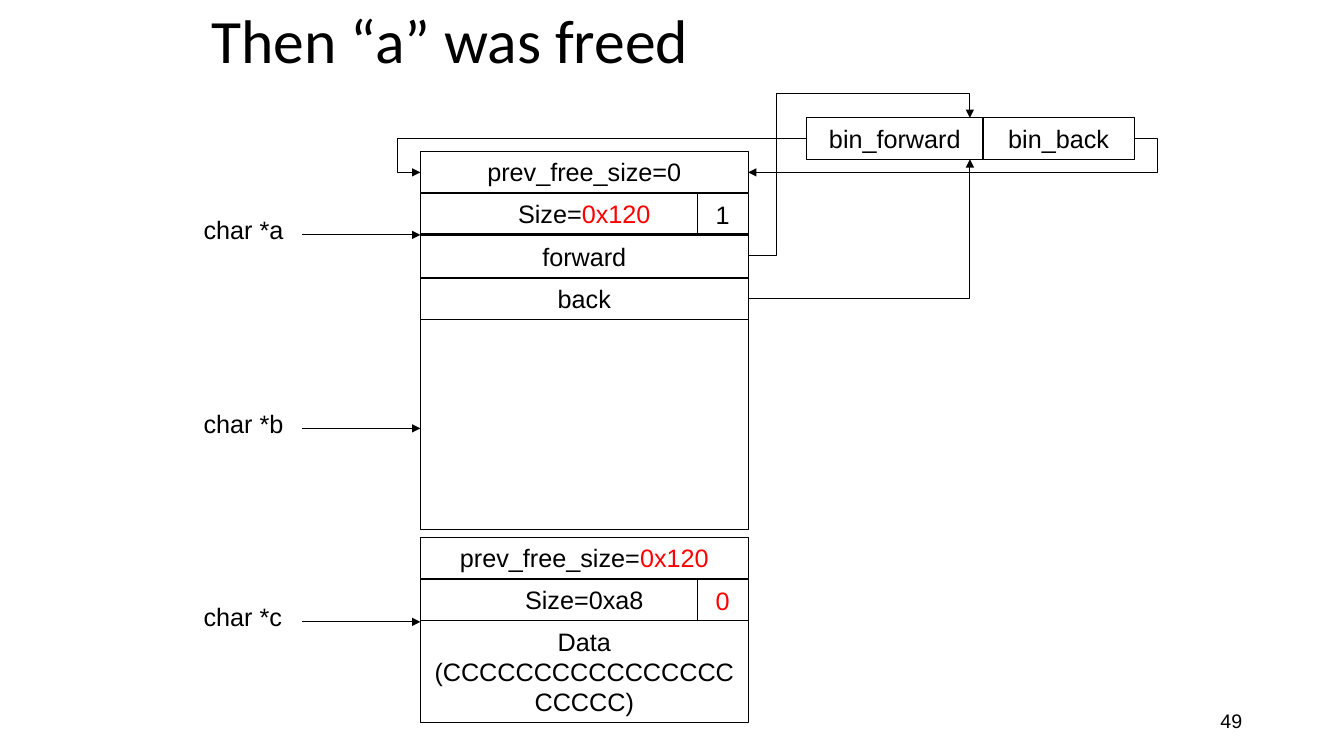
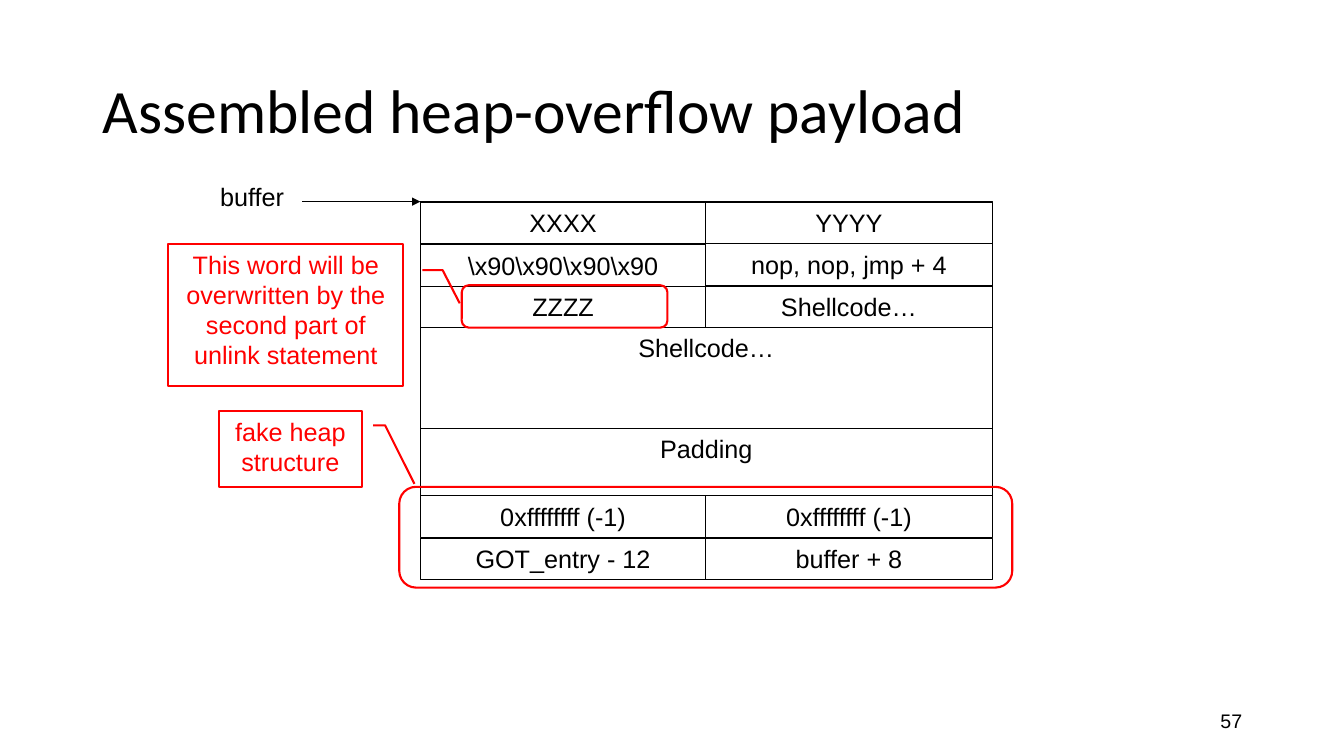
from dataclasses import dataclass

from lxml import etree
from pptx import Presentation
from pptx.dml.color import RGBColor
from pptx.enum.shapes import MSO_CONNECTOR, MSO_SHAPE
from pptx.enum.text import MSO_ANCHOR, PP_ALIGN
from pptx.oxml.ns import qn
from pptx.util import Emu, Pt

RECT, ROUND = MSO_SHAPE.RECTANGLE, MSO_SHAPE.ROUNDED_RECTANGLE
STRAIGHT, ELBOW = MSO_CONNECTOR.STRAIGHT, MSO_CONNECTOR.ELBOW
TOP, MIDDLE = MSO_ANCHOR.TOP, MSO_ANCHOR.MIDDLE
LEFT, CENTER, RIGHT = PP_ALIGN.LEFT, PP_ALIGN.CENTER, PP_ALIGN.RIGHT

EMU_PER_PX = 9144
ROW = 41


@dataclass(frozen=True)
class Theme:
    ink: RGBColor = RGBColor(0, 0, 0)
    alert: RGBColor = RGBColor(255, 0, 0)
    title_font: str = "Calibri"
    body_font: str = "Arial"
    title_size: int = 44
    body_size: int = 18
    number_size: int = 14
    thin: float = 0.75
    thick: float = 1.5


THEME = Theme()


def px(n):
    return Emu(n * EMU_PER_PX)


class Deck:
    def __init__(self, theme):
        self.theme = theme
        self.prs = Presentation()
        self.prs.slide_width, self.prs.slide_height = px(1333), px(750)
        self.s = None

    def slide(self, title, title_box, number):
        self.s = self.prs.slides.add_slide(self.prs.slide_layouts[6])
        t = self.theme
        p = self.text(title_box, [(title, t.ink)], LEFT, MIDDLE, t.title_size, t.title_font)
        p.line_spacing = 0.9
        self.text((942, 695, 300, 40), [(number, t.ink)], RIGHT, MIDDLE, t.number_size)

    def add_runs(self, sp, runs, align, anchor=TOP, size=None, font=None):
        tf = sp.text_frame
        tf.word_wrap = True
        tf.vertical_anchor = anchor
        p = tf.paragraphs[0]
        p.alignment = align
        for text, color in runs:
            r = p.add_run()
            r.text = text
            r.font.size = Pt(size or self.theme.body_size)
            r.font.name = font or self.theme.body_font
            r.font.color.rgb = color
        return p

    def text(self, box, runs, align=LEFT, anchor=TOP, size=None, font=None):
        sp = self.s.shapes.add_textbox(*map(px, box))
        return self.add_runs(sp, runs, align, anchor, size, font)

    def outline(self, sp, color, width):
        sp.shadow.inherit = False
        sp.fill.background()
        sp.line.color.rgb = color
        sp.line.width = Pt(width)

    def box(self, box, *runs):
        sp = self.s.shapes.add_shape(RECT, *map(px, box))
        self.outline(sp, self.theme.ink, self.theme.thin)
        if runs:
            self.add_runs(sp, runs, CENTER)

    def cell(self, box, text):
        self.box(box, (text, self.theme.ink))

    def highlight(self, box, shape=ROUND):
        sp = self.s.shapes.add_shape(shape, *map(px, box))
        self.outline(sp, self.theme.alert, self.theme.thick)
        return sp

    def callout(self, box, text, leader):
        self.add_runs(self.highlight(box, RECT), [(text, self.theme.alert)], CENTER)
        fb = self.s.shapes.build_freeform(*leader[0], scale=EMU_PER_PX)
        fb.add_line_segments(leader[1:], close=False)
        self.outline(fb.convert_to_shape(), self.theme.alert, self.theme.thick)

    def line(self, start, end, arrow=False, kind=STRAIGHT):
        c = self.s.shapes.add_connector(kind, *map(px, start + end))
        c.line.color.rgb = self.theme.ink
        c.line.width = Pt(self.theme.thin)
        sp_pr = c._element.spPr
        if arrow:
            etree.SubElement(sp_pr.find(qn("a:ln")), qn("a:tailEnd"), type="triangle")
        etree.SubElement(sp_pr, qn("a:effectLst"))
        return c

    def elbow(self, start, end, preset, *adjusts):
        c = self.line(start, end, True, ELBOW)
        geom = c._element.spPr.find(qn("a:prstGeom"))
        geom.set("prst", preset)
        guides = geom.find(qn("a:avLst"))
        if guides is None:
            guides = etree.SubElement(geom, qn("a:avLst"))
        for i, value in enumerate(adjusts, 1):
            etree.SubElement(guides, qn("a:gd"), name=f"adj{i}", fmla=f"val {value * 1000}")

    def pointer(self, label, y, x=192, align=LEFT):
        self.text((x, y - 25, 300 - x, 40), [(label, self.theme.ink)], align)
        self.line((300, y), (417, y), True)

    def chunk_header(self, y, prev_runs, size_runs, flag):
        self.box((417, y, 325, ROW), *prev_runs)
        self.box((417, y + 42, 325, ROW), *size_runs)
        self.line((692, y + 42), (692, y + 83))
        self.text((700, y + 43, 50, 40), [flag])


def freed_slide(deck):
    ink, alert = deck.theme.ink, deck.theme.alert
    deck.slide("Then “a” was freed", (200, 0, 900, 87), "49")
    deck.chunk_header(150, [("prev_free_size=0", ink)],
                      [("Size=", ink), ("0x120", alert)], ("1", ink))
    deck.box((417, 232, 325, 293))
    deck.chunk_header(533, [("prev_free_size=", ink), ("0x120", alert)],
                      [("Size=0xa8", ink)], ("0", alert))
    deck.cell((417, 616, 325, 101), "Data (CCCCCCCCCCCCCCCCCCCCC)")
    for label, y in (("char *a", 233), ("char *b", 425), ("char *c", 617)):
        deck.pointer(label, y)
    for label, y in (("forward", 234), ("back", 276)):
        deck.cell((417, y, 325, ROW), label)
    for label, x, w in (("bin_forward", 800, 175), ("bin_back", 975, 150)):
        deck.cell((x, 117, w, ROW), label)
    deck.elbow((800, 137), (417, 171), "bentConnector3", 106)
    deck.elbow((1125, 137), (742, 171), "bentConnector3", -6)
    deck.elbow((742, 254), (962, 117), "bentConnector4", 13, 118)
    deck.elbow((742, 296), (962, 158), "bentConnector2")


def payload_slide(deck):
    deck.slide("Assembled heap-overflow payload", (92, 40, 1150, 145), "57")
    deck.box((417, 200, 567, 292))
    rows = (
        (201, 201, "XXXX", "YYYY"),
        (243, 242, r"\x90\x90\x90\x90", "nop, nop, jmp + 4"),
        (284, 284, "ZZZZ", "Shellcode…"),
        (492, 492, "0xffffffff (-1)", "0xffffffff (-1)"),
        (534, 534, "GOT_entry - 12", "buffer + 8"),
    )
    for left_y, right_y, left, right in rows:
        deck.cell((417, left_y, 283, ROW), left)
        deck.cell((700, right_y, 284, ROW), right)
    deck.cell((417, 325, 567, 100), "Shellcode…")
    deck.cell((417, 425, 567, 67), "Padding")
    deck.pointer("buffer", 200, 200, CENTER)
    deck.highlight((396, 483, 608, 100))
    deck.callout((217, 408, 142, 75), "fake heap structure",
                 [(370, 422), (382, 422), (411, 480)])
    deck.highlight((458, 283, 204, 42))
    deck.callout((167, 242, 233, 141),
                 "This word will be overwritten by the second part of unlink statement",
                 [(419, 268), (439, 268), (456, 301)])


def main():
    deck = Deck(THEME)
    freed_slide(deck)
    payload_slide(deck)
    deck.prs.save("out.pptx")


if __name__ == "__main__":
    main()
